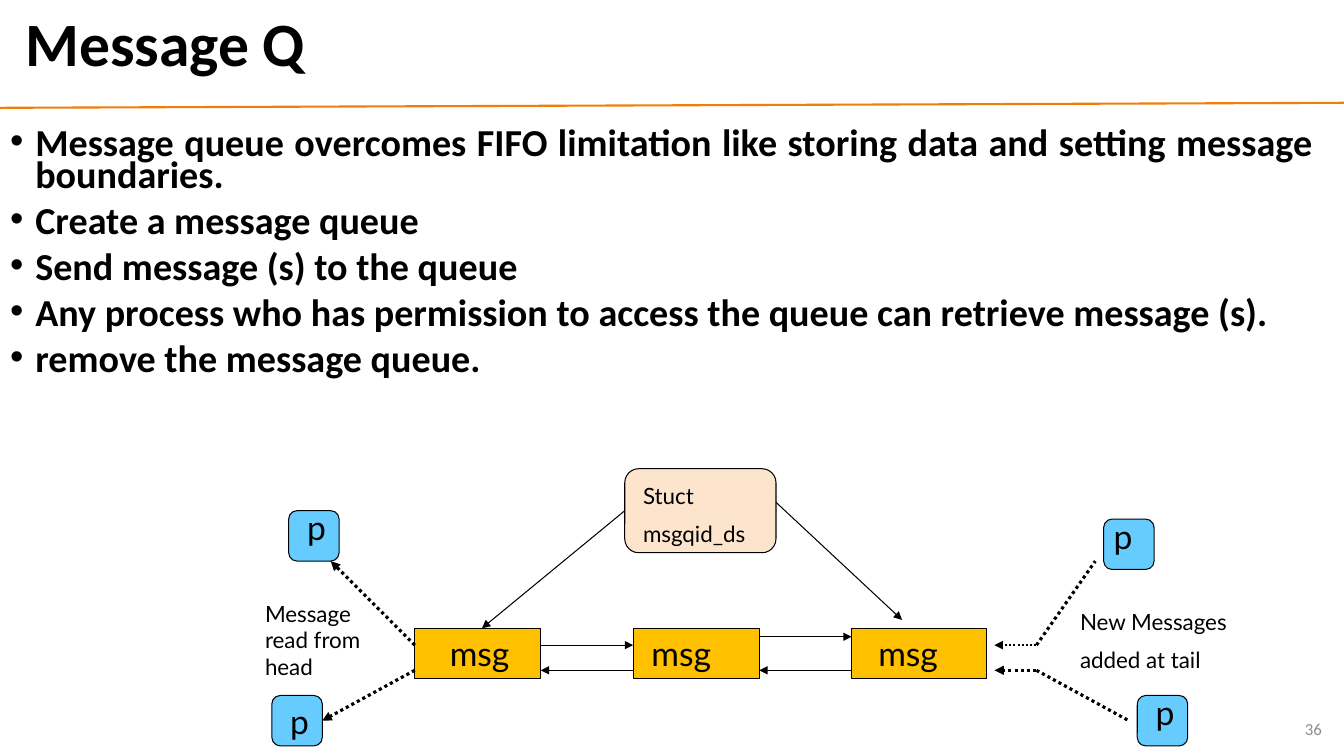
from pptx import Presentation, util as u
from pptx.dml.color import RGBColor
from pptx.enum import dml, shapes, text
from pptx.oxml import ns, xmlchemy as x

BLACK = RGBColor(0x00, 0x00, 0x00)
GRAY = RGBColor(0x8C, 0x8C, 0x8C)
ORANGE = RGBColor(0xF0, 0x7F, 0x09)
AMBER = RGBColor(0xFF, 0xC0, 0x00)
PEACH = RGBColor(0xFD, 0xE5, 0xCD)
SKY = RGBColor(0x66, 0xCC, 0xFF)

WIDTH, HEIGHT = 13.33, 7.5
COLUMNS, ROWS = 118, 33
TITLE_FONT = {"name": "Calibri", "size": u.Pt(44), "bold": True}
BODY_FONT = {"name": "Calibri", "size": u.Pt(27.2), "bold": True}
NUMBER_FONT = {"name": "Calibri", "size": u.Pt(12)}
LARGE_FONT = {"name": "Lato", "size": u.Pt(24)}
SMALL_FONT = {"name": "Lato", "size": u.Pt(16)}

BULLETS = [
    "Message queue overcomes FIFO limitation like storing data and setting message boundaries.",
    "Create a message queue",
    "Send message (s) to the queue",
    "Any process who has permission to access the queue can retrieve message (s).",
    "remove the message queue.",
]
MESSAGES = [(19, 15, 22), (45, 15, 46), (71, 16, 73)]
PROCESSES = [(4, 5, 5, 4), (2, 27, 3, 27), (101, 6, 101, 5), (105, 27, 106, 26)]
CAPTIONS = [
    (0, 15, 16, 11, ["Message read from head"]),
    (97, 16, 21, 9, ["New Messages added at tail"]),
    (45, 1, 19, 9, ["Stuct", "msgqid_ds"]),
]
QUEUE_LINKS = [
    (34, 21, 45, 21), (60, 20, 71, 20), (71, 24, 60, 24), (45, 24, 34, 24),
]
DOTTED_LINKS = [
    (93, 21, 100, 11, 2.25, False),
    (93, 24, 104, 30, 2.25, False),
    (93, 21, 88, 21, 1.5, True),
    (93, 24, 88, 24, 2.25, True),
    (19, 21, 9, 11, 2.25, True),
]


def inches(values):
    """Convert numbers to inches."""
    return [u.Inches(value) for value in values]


def apply_format(target, values):
    """Set each attribute from a dict of format values."""
    for name, value in values.items():
        setattr(target, name, value)


def place(shape, box):
    """Move and size a shape to a box in inches."""
    apply_format(shape, dict(zip(("left", "top", "width", "height"), inches(box))))


def write(shape, lines, font, paragraph_format=None, color=BLACK):
    """Fill a shape with one formatted paragraph per line."""
    frame = shape.text_frame
    apply_format(frame, {"word_wrap": True, "auto_size": text.MSO_AUTO_SIZE.NONE})
    for index, line in enumerate(lines):
        paragraph = frame.paragraphs[0] if index == 0 else frame.add_paragraph()
        apply_format(paragraph, paragraph_format or {})
        run = paragraph.add_run()
        run.text = line
        apply_format(run.font, font)
        run.font.color.rgb = color


def add_label(slide, box, lines, font, paragraph_format=None, color=BLACK):
    """Add a text box."""
    label = slide.shapes.add_textbox(*inches(box))
    write(label, lines, font, paragraph_format, color)
    return label


def add_block(slide, kind, box, fill):
    """Add an outlined shape."""
    block = slide.shapes.add_shape(kind, *inches(box))
    block.shadow.inherit = False
    block.fill.solid()
    block.fill.fore_color.rgb = fill
    block.line.color.rgb = BLACK
    block.line.width = u.Pt(0.75)
    return block


def add_line(slide, ends, color=BLACK, width=0.75, arrow=True, dash=None):
    """Add a straight line, with an arrowhead at its end if wanted."""
    line = slide.shapes.add_connector(shapes.MSO_CONNECTOR.STRAIGHT, *inches(ends))
    line.line.color.rgb = color
    line.line.width = u.Pt(width)
    if dash:
        line.line.dash_style = dash
    if arrow:
        outline = line.line._get_or_add_ln()
        outline.append(x.OxmlElement("a:tailEnd"))
        outline[-1].set("type", "triangle")
    line._element.spPr.append(x.OxmlElement("a:effectLst"))
    return line


def add_header(slide, box):
    """Place the title and the rule below it."""
    left, top, width, height = box
    title = slide.shapes.title
    place(title, (left + 0.15, top + 0.05, width - 0.44, 0.83))
    title.text_frame.vertical_anchor = text.MSO_ANCHOR.MIDDLE
    write(title, ["Message Q"], TITLE_FONT,
          {"alignment": text.PP_ALIGN.LEFT, "line_spacing": 0.9})
    add_line(slide, (left, top + height, left + width, top + height - 0.05),
             ORANGE, 1.5, arrow=False)


def add_body(slide, box):
    """Place the bulleted list."""
    body = slide.placeholders[1]
    place(body, box)
    write(body, BULLETS, BODY_FONT,
          {"alignment": text.PP_ALIGN.JUSTIFY, "line_spacing": 0.7,
           "space_before": u.Pt(10)})
    for paragraph in body.text_frame.paragraphs:
        properties = paragraph._p.get_or_add_pPr()
        properties.set("marL", str(u.Inches(0.25)))
        properties.set("indent", str(-u.Inches(0.25)))
        for tag, name, value in (("a:buFont", "typeface", "Arial"),
                                 ("a:buChar", "char", "•")):
            bullet = x.OxmlElement(tag)
            bullet.set(name, value)
            properties.append(bullet)


def add_diagram(slide, box):
    """Draw the message queue and its processes on a grid."""
    left, top, width, height = box
    column, row = width / COLUMNS, height / ROWS

    def area(across, down, columns, rows):
        return left + across * column, top + down * row, columns * column, rows * row

    def ends(x1, y1, x2, y2):
        return area(x1, y1, 0, 0)[:2] + area(x2, y2, 0, 0)[:2]

    rounded = shapes.MSO_SHAPE.FLOWCHART_ALTERNATE_PROCESS
    for across, columns, _ in MESSAGES:
        add_block(slide, shapes.MSO_SHAPE.RECTANGLE, area(across, 19, columns, 6), AMBER)
    for link in QUEUE_LINKS:
        add_line(slide, ends(*link))
    dots = dml.MSO_LINE.ROUND_DOT
    for *link, weight, arrow in DOTTED_LINKS:
        add_line(slide, ends(*link), width=weight, arrow=arrow, dash=dots)

    structure = add_block(slide, rounded, area(44, 0, 18, 10), PEACH)
    head_link = add_line(slide, ends(44, 5, 27, 19))
    head_link.begin_connect(structure, 1)
    add_line(slide, ends(62, 4, 77, 18))
    processes = [add_block(slide, rounded, area(across, down, 6, 6), SKY)
                 for across, down, _, _ in PROCESSES]
    reader_link = add_line(slide, ends(19, 24, 8, 30), width=2.25, dash=dots)
    reader_link.end_connect(processes[1], 3)

    for _, _, across, down in PROCESSES:
        add_label(slide, area(across, down, 4, 6), ["p"], LARGE_FONT)
    for _, _, across in MESSAGES:
        add_label(slide, area(across, 19, 12, 6), ["msg"], LARGE_FONT)
    for *cells, lines in CAPTIONS:
        caption = add_label(slide, area(*cells), lines, SMALL_FONT)
        for paragraph in caption.text_frame.paragraphs[1:]:
            paragraph.space_before = u.Pt(8)
        if lines[0].startswith("New"):
            spacer = caption.text_frame.paragraphs[0].add_run()
            spacer.text = " "
            apply_format(spacer.font, LARGE_FONT)


def add_number(slide, box):
    """Place the slide number."""
    number = add_label(slide, box, ["36"], NUMBER_FONT,
                       {"alignment": text.PP_ALIGN.RIGHT}, GRAY)
    number.text_frame.vertical_anchor = text.MSO_ANCHOR.MIDDLE


def main():
    """Build and save the slide."""
    presentation = Presentation()
    presentation.slide_width, presentation.slide_height = inches((WIDTH, HEIGHT))
    slide = presentation.slides.add_slide(presentation.slide_layouts[1])
    add_header(slide, (0, 0, WIDTH, 1.07))
    add_body(slide, (0, 1.25, WIDTH - 0.2, 2.62))
    add_diagram(slide, (2.53, 4.65, COLUMNS / 12, ROWS / 12))
    add_number(slide, (10.21, 7.03, 3, 0.4))
    presentation.save("out.pptx")


if __name__ == "__main__":
    main()
